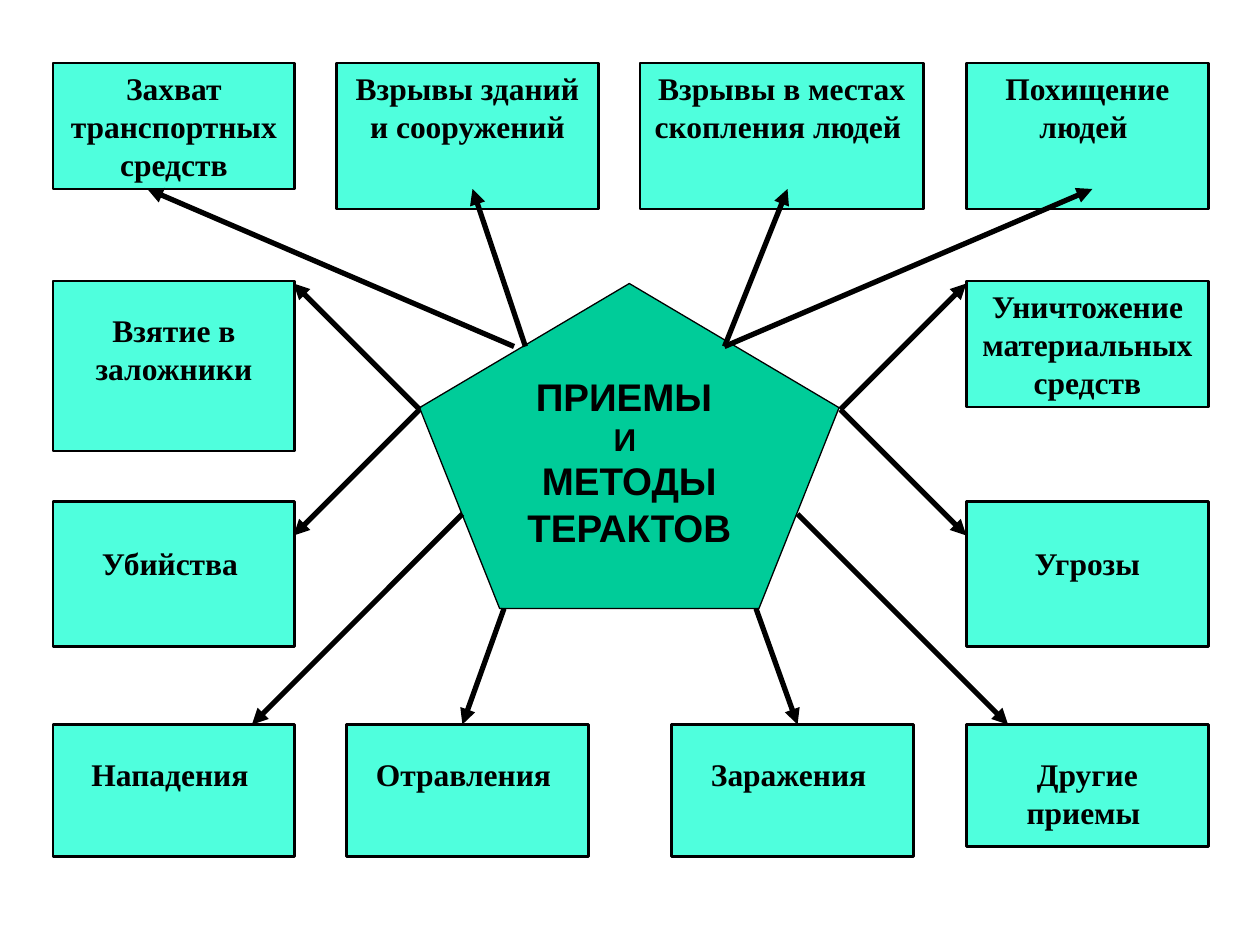
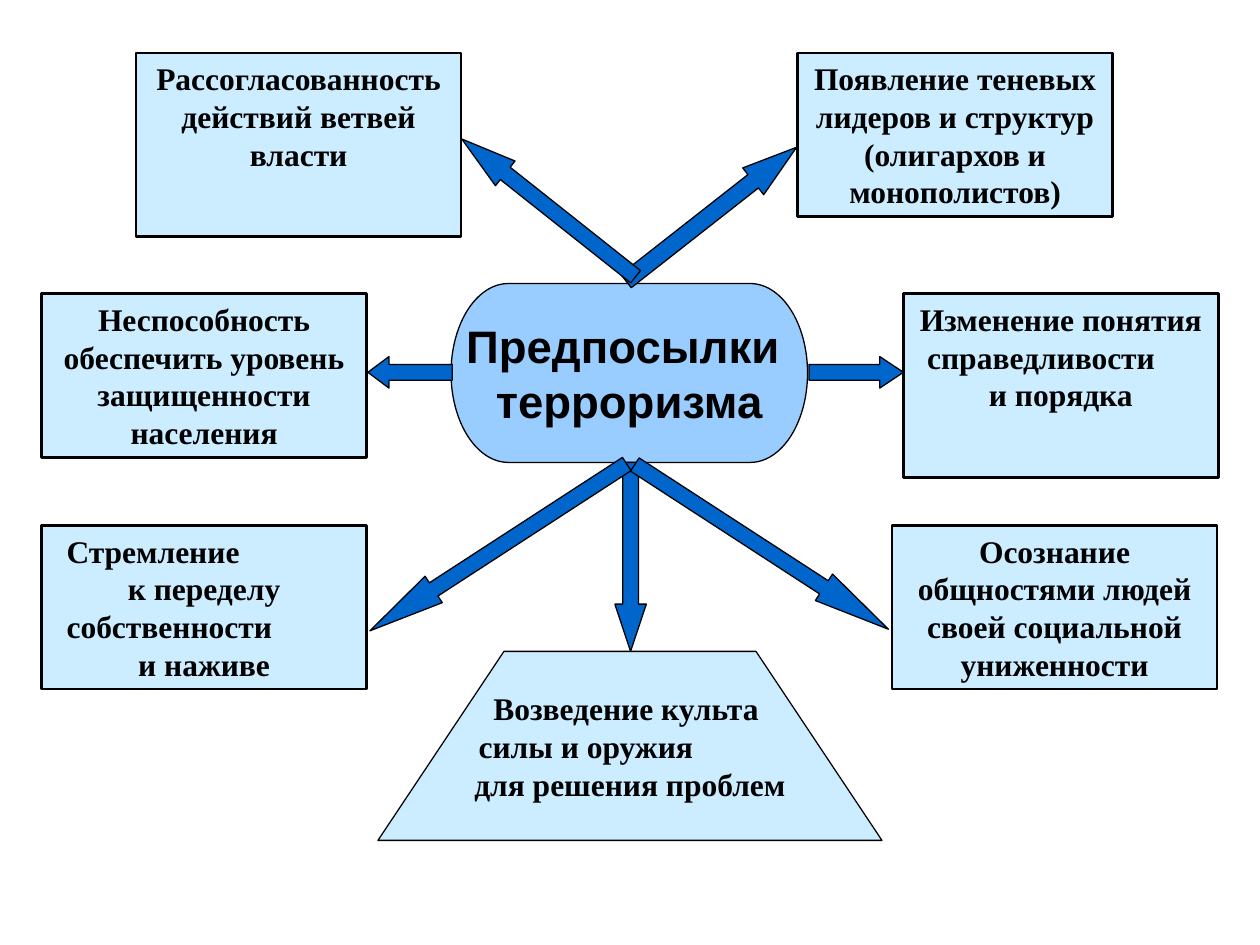
from dataclasses import dataclass
from typing import NamedTuple, Optional

from pptx import Presentation
from pptx import util as u
from pptx.dml.color import RGBColor
from pptx.enum import shapes, text
from pptx.oxml.ns import qn
from lxml import etree

# Shared look
BLACK = RGBColor(0x00, 0x00, 0x00)
GREEN = RGBColor(0x00, 0xCC, 0x99)
MINT = RGBColor(0x4F, 0xFF, 0xDD)
PALE_BLUE = RGBColor(0xCC, 0xEC, 0xFF)
SKY = RGBColor(0x99, 0xCC, 0xFF)
BLUE = RGBColor(0x00, 0x66, 0xCC)
BOX_FONT, HUB_FONT = "Times New Roman", "Arial"
BOX_SIZE = 18
SLIDE_WIDTH = 10
KIND = shapes.MSO_SHAPE


class Area(NamedTuple):
    left: float
    top: float
    width: float
    height: float

    def inches(self) -> list:
        return [u.Inches(value) for value in self]


@dataclass
class Line:
    text: str
    size: float = BOX_SIZE
    indent: Optional[float] = None  # a left-aligned line, else centred


@dataclass
class Card:
    area: Area
    lines: list
    top_inset: float = 0.05


class Link(NamedTuple):
    start: tuple
    end: tuple


class BlockArrow(NamedTuple):
    kind: shapes.MSO_SHAPE
    area: Area
    head: float
    rotation: float = 0


def paint(shape, fill: RGBColor, width: float) -> None:
    shape.shadow.inherit = False
    shape.fill.solid()
    shape.fill.fore_color.rgb = fill
    shape.line.color.rgb = BLACK
    shape.line.width = u.Pt(width)


def write(shape, lines: list, font: str) -> None:
    frame = shape.text_frame
    frame.text = "\n".join(line.text for line in lines)
    for para, line in zip(frame.paragraphs, lines):
        para.alignment = text.PP_ALIGN.CENTER
        if line.indent is not None:
            para.alignment = text.PP_ALIGN.LEFT
            para._p.get_or_add_pPr().set("marL", str(u.Inches(line.indent)))
        for span in para.runs:
            span.font.name = font
            span.font.size = u.Pt(line.size)
            span.font.bold = True
            span.font.color.rgb = BLACK


def add_card(page, card: Card, fill: RGBColor) -> None:
    box = page.shapes.add_shape(KIND.RECTANGLE, *card.area.inches())
    paint(box, fill, 1.5)
    box.text_frame.word_wrap = True
    box.text_frame.vertical_anchor = text.MSO_ANCHOR.TOP
    box.text_frame.margin_top = u.Inches(card.top_inset)
    write(box, card.lines, BOX_FONT)


def add_hub(page, kind: shapes.MSO_SHAPE, area: Area, fill: RGBColor,
            lines: list, bottom_inset: float = 0.05) -> None:
    hub = page.shapes.add_shape(kind, *area.inches())
    paint(hub, fill, 0.75)
    hub.text_frame.word_wrap = False
    hub.text_frame.vertical_anchor = text.MSO_ANCHOR.MIDDLE
    hub.text_frame.margin_bottom = u.Inches(bottom_inset)
    write(hub, lines, HUB_FONT)


def add_link(page, link: Link) -> None:
    points = [u.Inches(value) for value in (*link.start, *link.end)]
    line = page.shapes.add_connector(shapes.MSO_CONNECTOR.STRAIGHT, *points)
    line.line.color.rgb = BLACK
    line.line.width = u.Pt(3)
    etree.SubElement(line.line._get_or_add_ln(), qn("a:tailEnd"), type="triangle")
    etree.SubElement(line._element.spPr, qn("a:effectLst"))


def add_block_arrow(page, arrow: BlockArrow) -> None:
    shape = page.shapes.add_shape(arrow.kind, *arrow.area.inches())
    shape.adjustments[0] = 0.5
    shape.adjustments[1] = arrow.head
    shape.rotation = arrow.rotation
    paint(shape, BLUE, 0.75)


def mirrored(link: Link) -> Link:
    return Link(*((SLIDE_WIDTH - x, y) for x, y in link))


def build_methods(page) -> None:
    add_hub(page, KIND.REGULAR_PENTAGON, Area(3.33, 2.25, 3.33, 2.58), GREEN,
            [Line("ПРИЕМЫ ", 22), Line("И "), Line("МЕТОДЫ", 22),
             Line("ТЕРАКТОВ", 22)], bottom_inset=0.41)

    # Boxes around the pentagon
    left, right, width = 0.42, 7.67, 1.92
    top, upper, lower, bottom = 0.5, 2.23, 3.98, 5.75
    no_gap, small_gap, big_gap = 0.05, 0.24, 0.34
    cards = [
        (left, top, width, 1, "Захват транспортных средств", no_gap),
        (2.67, top, 2.08, 1.16, "Взрывы зданий и сооружений", no_gap),
        (5.08, top, 2.25, 1.16, "Взрывы в местах скопления людей ", no_gap),
        (right, top, width, 1.16, "Похищение людей ", no_gap),
        (left, upper, width, 1.35, "Взятие в заложники", small_gap),
        (right, upper, width, 1, "Уничтожение материальных средств", no_gap),
        (left, lower, width, 1.15, "Убийства ", big_gap),
        (right, lower, width, 1.15, "Угрозы", big_gap),
        (left, bottom, width, 1.05, "Нападения ", small_gap),
        (2.75, bottom, width, 1.05, "Отравления ", small_gap),
        (5.33, bottom, width, 1.05, "Заражения ", small_gap),
        (right, bottom, width, 0.97, "Другие приемы ", small_gap),
    ]
    for *area, label, inset in cards:
        add_card(page, Card(Area(*area), [Line(label)], inset), MINT)

    # Arrows: the upper four differ, the others come in mirrored pairs
    upper_links = [
        Link((4.08, 2.75), (1.17, 1.5)),
        Link((4.17, 2.75), (3.75, 1.5)),
        Link((5.75, 2.75), (6.25, 1.5)),
        Link((5.75, 2.75), (8.67, 1.5)),
    ]
    left_links = [
        Link((3.33, 3.25), (2.33, 2.25)),
        Link((3.33, 3.25), (2.33, 4.25)),
        Link((3.67, 4.08), (2, 5.75)),
        Link((4, 4.83), (3.67, 5.75)),
    ]
    for link in upper_links + left_links + [mirrored(link) for link in left_links]:
        add_link(page, link)


def build_causes(page) -> None:
    # Boxes around the centre
    cards = [
        Card(Area(1.08, 0.42, 2.58, 1.46),
             [Line("Рассогласованность действий ветвей власти")]),
        Card(Area(6.33, 0.42, 2.5, 1.3),
             [Line("Появление теневых лидеров и структур (олигархов и монополистов)")]),
        Card(Area(0.33, 2.33, 2.58, 1.3),
             [Line("Неспособность обеспечить уровень защищенности населения")]),
        Card(Area(7.17, 2.33, 2.5, 1.46),
             [Line("Изменение понятия"), Line("справедливости", indent=0.09),
              Line("и порядка")]),
        Card(Area(0.33, 4.17, 2.58, 1.3),
             [Line("Стремление", indent=0.1), Line("к переделу"),
              Line("собственности", indent=0.1), Line("и наживе")]),
        Card(Area(7.08, 4.17, 2.58, 1.3),
             [Line("Осознание общностями людей своей социальной униженности")]),
    ]
    for card in cards:
        add_card(page, card, PALE_BLUE)
    add_hub(page, KIND.FLOWCHART_TERMINATOR, Area(3.58, 2.25, 2.83, 1.42), SKY,
            [Line("Предпосылки ", 26), Line("терроризма", 26)])

    # Trapezoid with its caption
    corners = [(u.Inches(x), u.Inches(y))
               for x, y in ((3, 6.67), (7, 6.67), (6, 5.17), (4, 5.17))]
    builder = page.shapes.build_freeform(*corners[0])
    builder.add_line_segments(corners[1:], close=True)
    paint(builder.convert_to_shape(), PALE_BLUE, 0.75)
    caption = page.shapes.add_textbox(*Area(3.5, 5.42, 3, 1).inches())
    caption.text_frame.word_wrap = True
    write(caption, [Line("Возведение культа "), Line("силы и оружия", indent=0.2),
                    Line("для решения проблем")], BOX_FONT)

    # Block arrows
    arrows = [
        BlockArrow(KIND.UP_ARROW, Area(5.51, 0.84, 0.27, 1.72), 1.62, 51.9),
        BlockArrow(KIND.UP_ARROW, Area(4.23, 0.77, 0.25, 1.76), 1.76, 308.4),
        BlockArrow(KIND.RIGHT_ARROW, Area(6.42, 2.83, 0.75, 0.25), 0.75),
        BlockArrow(KIND.LEFT_ARROW, Area(2.92, 2.83, 0.67, 0.25), 0.67),
        BlockArrow(KIND.DOWN_ARROW, Area(4.88, 3.67, 0.25, 1.5), 1.5),
        BlockArrow(KIND.DOWN_ARROW, Area(3.83, 3.13, 0.25, 2.43), 2.41, 57),
        BlockArrow(KIND.DOWN_ARROW, Area(5.92, 3.14, 0.25, 2.4), 2.44, 303),
    ]
    for arrow in arrows:
        add_block_arrow(page, arrow)


def main() -> None:
    deck = Presentation()
    deck.slide_width = u.Inches(SLIDE_WIDTH)
    deck.slide_height = u.Inches(7.5)
    blank = deck.slide_layouts.get_by_name("Blank")
    for build in (build_methods, build_causes):
        build(deck.slides.add_slide(blank))
    deck.save("out.pptx")


if __name__ == "__main__":
    main()
